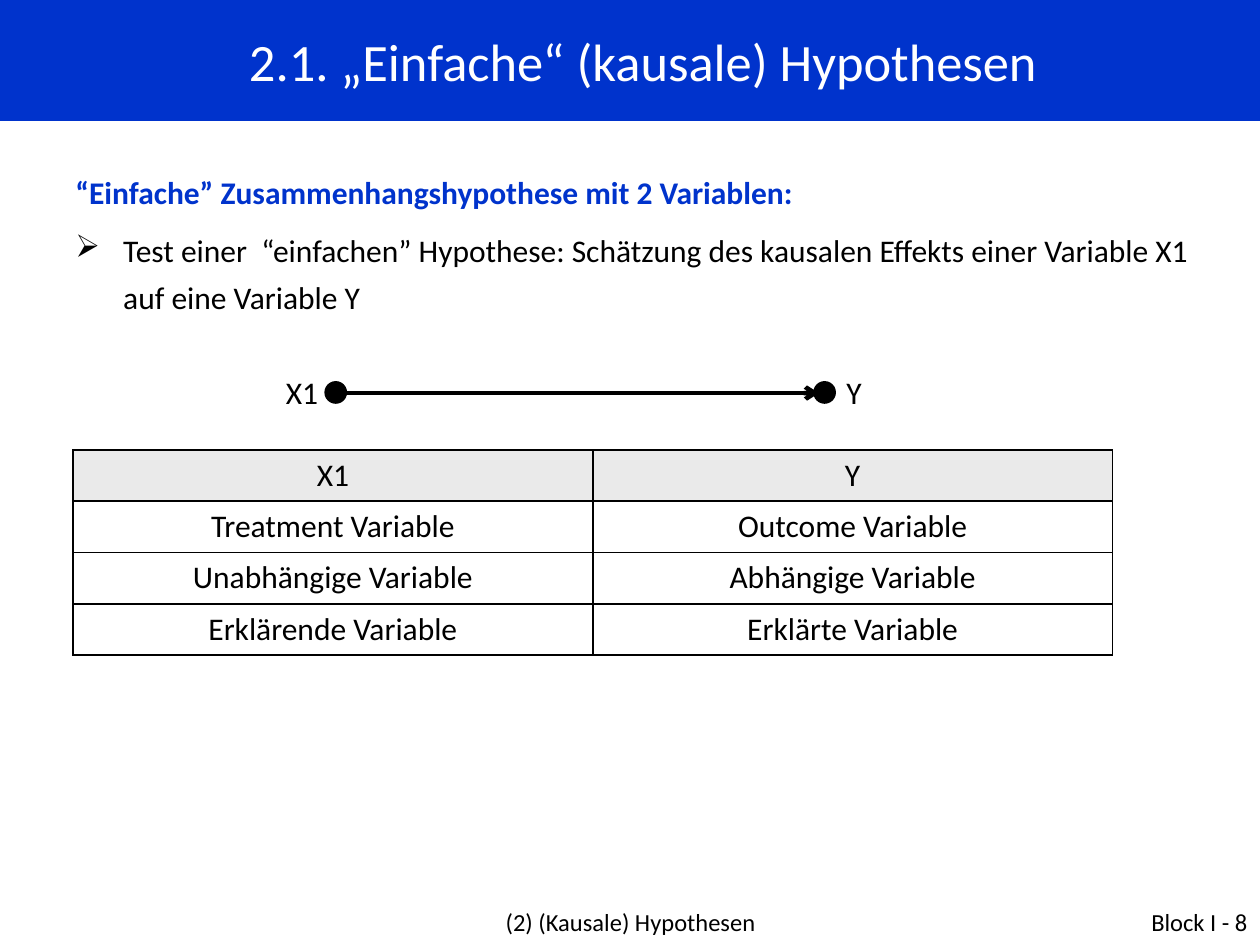
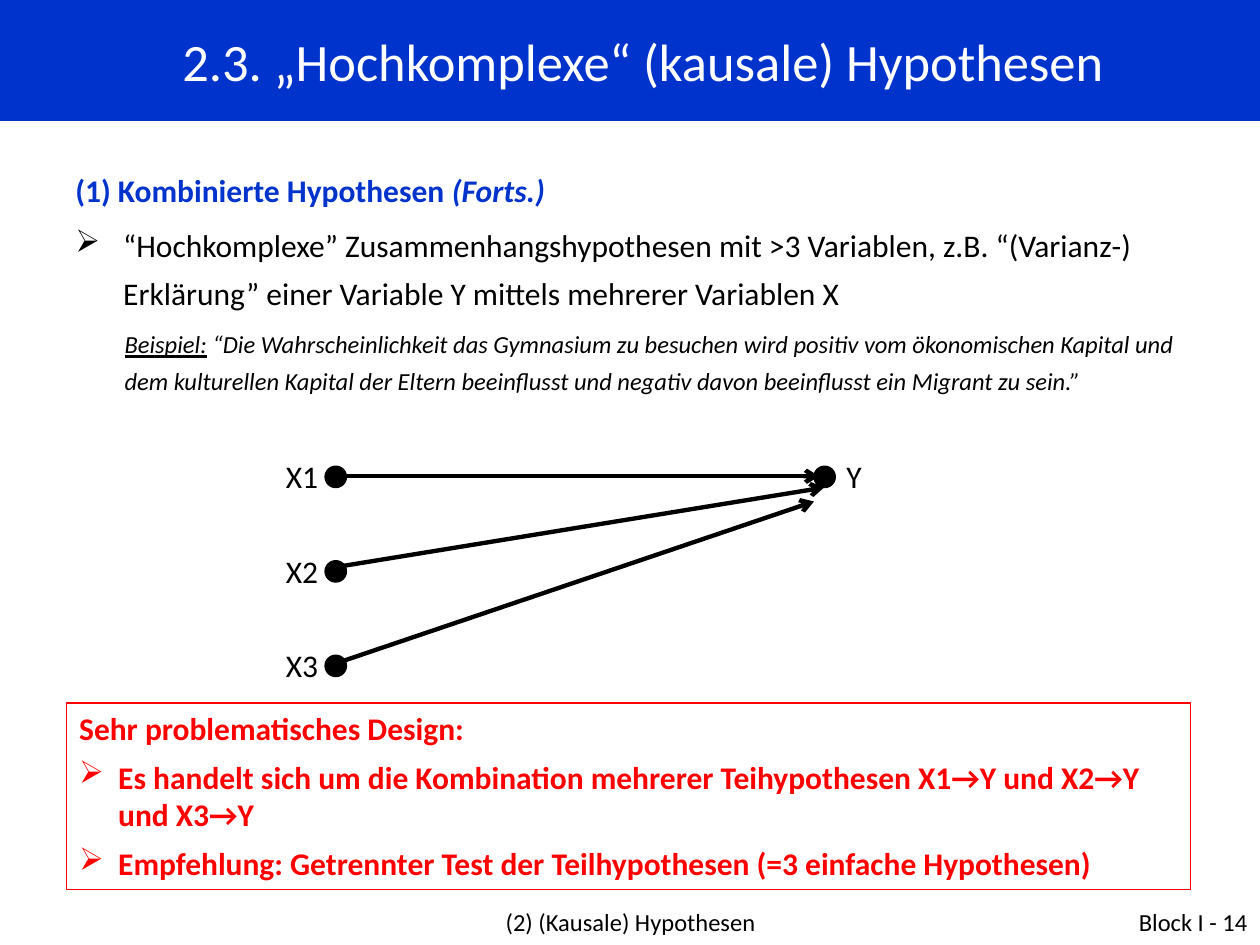
from lxml import etree
from pptx import Presentation
from pptx.dml.color import RGBColor
from pptx.enum.shapes import MSO_CONNECTOR, MSO_SHAPE
from pptx.enum.text import MSO_ANCHOR, PP_ALIGN
from pptx.oxml.ns import qn
from pptx.util import Inches, Pt

LEFT, CENTER, RIGHT = PP_ALIGN.LEFT, PP_ALIGN.CENTER, PP_ALIGN.RIGHT
TOP, MIDDLE = MSO_ANCHOR.TOP, MSO_ANCHOR.MIDDLE
RECT, OVAL = MSO_SHAPE.RECTANGLE, MSO_SHAPE.OVAL
STRAIGHT = MSO_CONNECTOR.STRAIGHT
TITLE_ONLY = 5

FACE = "Calibri"
BLUE, BLACK, WHITE, RED, GREY = "0033CC", "000000", "FFFFFF", "FF0000", "EAEAEA"
DOT = 0.17
CAUSE_X, EFFECT_X = 2.58, 6.46
ROW_GAP = 0.75


def rgb(code):
    return RGBColor.from_string(code)


def paint(fill, code):
    fill.solid()
    fill.fore_color.rgb = rgb(code)


def child(parent, tag, **attrs):
    return etree.SubElement(parent, qn(tag), attrs)


class Deck:
    def __init__(self):
        self.prs = Presentation()
        self.prs.slide_width, self.prs.slide_height = Inches(10), Inches(7.5)
        self.slide = None

    def start(self, title, number):
        """Add a slide with its title band and footer."""
        layout = self.prs.slide_layouts[TITLE_ONLY]
        self.slide = self.prs.slides.add_slide(layout)
        band = self.slide.shapes.title
        band.left, band.top = Inches(0), Inches(0)
        band.width, band.height = Inches(10), Inches(0.96)
        paint(band.fill, BLUE)
        frame = band.text_frame
        frame.vertical_anchor = MIDDLE
        self.para(frame, title, size=30, color=WHITE, align=CENTER,
                  indent=(0.52, -0.31))
        self.text(2.42, 7.15, 5.17, 0.52, "(2) (Kausale) Hypothesen",
                  size=14, align=CENTER)
        self.text(7.67, 7.15, 2.33, 0.52, f"Block I - {number}",
                  size=14, align=RIGHT)

    def para(self, frame, text, size=18, color=BLACK, bold=False, italic=False,
             align=LEFT, indent=(0, 0), bullet=False, line=None, after=0):
        """Add a paragraph; text is a string or a list of (text, font changes)."""
        par = frame.paragraphs[0]
        if par.runs:
            par = frame.add_paragraph()
        props = par._p.get_or_add_pPr()
        props.set("marL", str(Inches(indent[0])))
        props.set("indent", str(Inches(indent[1])))
        if bullet:
            child(props, "a:buChar", char="➢")
        par.alignment = align
        par.space_before, par.space_after = Pt(0), Pt(after)
        if line:
            par.line_spacing = line
        font = par.font
        font.name, font.size = FACE, Pt(size)
        font.bold, font.italic = bold, italic
        font.color.rgb = rgb(color)
        parts = [(text, {})] if isinstance(text, str) else text
        for words, change in parts:
            run = par.add_run()
            run.text = words
            for key, value in change.items():
                setattr(run.font, key, value)

    def frame(self, x, y, w, h):
        """Add an empty text box and return its text frame."""
        box = self.slide.shapes.add_textbox(Inches(x), Inches(y),
                                            Inches(w), Inches(h))
        box.text_frame.word_wrap = True
        return box.text_frame

    def text(self, x, y, w, h, words, **style):
        self.para(self.frame(x, y, w, h), words, **style)

    def shape(self, kind, x, y, w, h, fill=None, line=BLACK):
        item = self.slide.shapes.add_shape(kind, Inches(x), Inches(y),
                                           Inches(w), Inches(h))
        item.shadow.inherit = False
        if fill:
            paint(item.fill, fill)
        else:
            item.fill.background()
        item.line.color.rgb = rgb(line)
        item.line.width = Pt(0.75)
        return item

    def arrow(self, x1, y1, x2, y2):
        link = self.slide.shapes.add_connector(
            STRAIGHT, Inches(x1), Inches(y1), Inches(x2), Inches(y2))
        link.line.color.rgb = rgb(BLACK)
        link.line.width = Pt(2.5)
        child(link.line._get_or_add_ln(), "a:tailEnd", type="arrow")
        child(link._element.spPr, "a:effectLst")

    def node(self, name, x, y, side):
        """Draw a dot with its label, side being the label's offset."""
        self.shape(OVAL, x, y, DOT, DOT, fill=BLACK)
        self.text(x + side, y - 0.12, 0.5, 0.4, name)

    def graph(self, top, causes, arrows):
        """Draw causes in a column, the effect Y, and the arrows to it."""
        for row, name in enumerate(causes):
            self.node(name, CAUSE_X, top + row * ROW_GAP, -0.41)
        self.node("Y", EFFECT_X, top, 0.16)
        for ends in arrows:
            self.arrow(*ends)

    def table(self, x, y, w, h, rows):
        shape = self.slide.shapes.add_table(len(rows), len(rows[0]), Inches(x),
                                            Inches(y), Inches(w), Inches(h))
        grid = shape.table
        grid.first_row = grid.horz_banding = False
        for r, row in enumerate(rows):
            for c, words in enumerate(row):
                cell = grid.cell(r, c)
                self.para(cell.text_frame, words, align=CENTER)
                props = cell._tc.get_or_add_tcPr()
                for side in ("a:lnL", "a:lnR", "a:lnT", "a:lnB"):
                    edge = child(props, side, w=str(Pt(1)))
                    child(child(edge, "a:solidFill"), "a:srgbClr", val=BLACK)
                if r == 0:
                    paint(cell.fill, GREY)
                else:
                    cell.fill.background()


def simple(deck):
    deck.start("2.1. „Einfache“ (kausale) Hypothesen", 8)
    body = deck.frame(0.5, 1.25, 9.17, 1.5)
    deck.para(body, "“Einfache” Zusammenhangshypothese mit 2 Variablen:",
              color=BLUE, bold=True, line=1.25, after=6)
    deck.para(body, "Test einer  “einfachen” Hypothese: Schätzung des kausalen "
              "Effekts einer Variable X1 auf eine Variable Y",
              indent=(0.38, -0.38), bullet=True, line=1.25, after=6)
    deck.graph(3.03, ["X1"], [(2.67, 3.12, 6.5, 3.12)])
    deck.table(0.58, 3.57, 8.25, 1.63, [
        ("X1", "Y"),
        ("Treatment Variable", "Outcome Variable"),
        ("Unabhängige Variable", "Abhängige Variable"),
        ("Erklärende Variable", "Erklärte Variable"),
    ])


def complex_case(deck):
    deck.start("2.3. „Hochkomplexe“ (kausale) Hypothesen", 14)
    body = deck.frame(0.5, 1.25, 9.17, 2)
    deck.para(body, [("(1) Kombinierte Hypothesen ", {}),
                     ("(Forts.)", {"italic": True})],
              color=BLUE, bold=True, line=1.2, after=4.5)
    deck.para(body, "“Hochkomplexe” Zusammenhangshypothesen mit >3 Variablen, "
              "z.B. “(Varianz-) Erklärung” einer Variable Y mittels mehrerer "
              "Variablen X",
              indent=(0.38, -0.38), bullet=True, line=1.25, after=6)
    deck.para(body, [("Beispiel:", {"underline": True}),
                     (" “Die Wahrscheinlichkeit das Gymnasium zu besuchen wird "
                      "positiv vom ökonomischen Kapital und dem kulturellen "
                      "Kapital der Eltern beeinflusst und negativ davon "
                      "beeinflusst ein Migrant zu sein.”", {})],
              size=14, italic=True, indent=(0.39, 0), line=1.25, after=6)
    deck.graph(3.7, ["X1", "X2", "X3"], [
        (2.67, 3.78, 6.5, 3.78),
        (2.67, 4.5, 6.54, 3.87),
        (2.71, 5.25, 6.46, 3.98),
    ])
    note = deck.shape(RECT, 0.53, 5.58, 8.92, 1.48, line=RED).text_frame
    note.word_wrap = True
    note.vertical_anchor = TOP
    deck.para(note, "Sehr problematisches Design:", color=RED, bold=True, after=6)
    for point in (
        "Es handelt sich um die Kombination mehrerer Teihypothesen X1→Y und "
        "X2→Y und X3→Y",
        "Empfehlung: Getrennter Test der Teilhypothesen (=3 einfache Hypothesen)",
    ):
        deck.para(note, point, color=RED, bold=True, indent=(0.31, -0.31),
                  bullet=True, after=6)


def main():
    deck = Deck()
    simple(deck)
    complex_case(deck)
    deck.prs.save("out.pptx")


if __name__ == "__main__":
    main()
